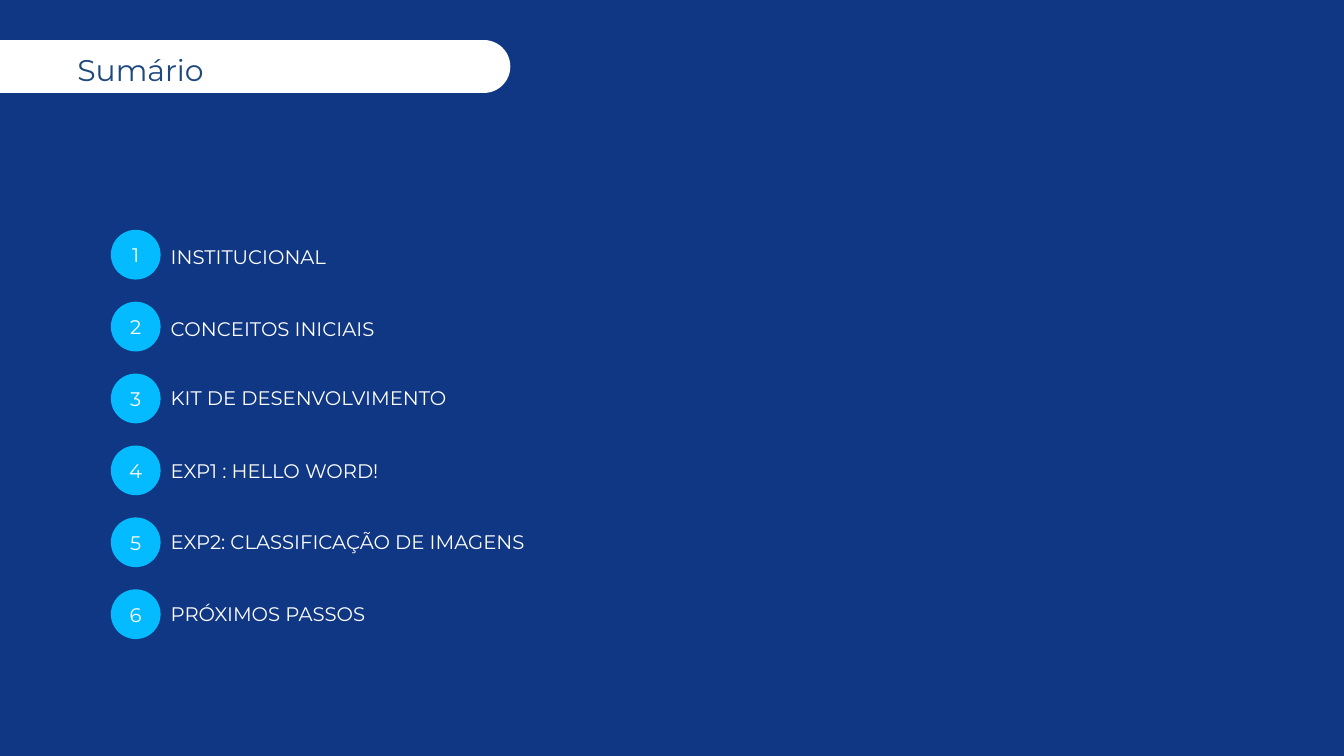
from dataclasses import dataclass

from pptx import Presentation
from pptx import util as u
from pptx.dml.color import RGBColor
from pptx.enum import shapes, text

PX = 9144  # EMU per px, 100 px to the inch
FONT = "Montserrat"
COLORS = {"background": "103784", "badge": "04BBFF", "white": "FFFFFF", "title": "1F497D"}
BADGE_LEFT, BADGE_TOP, BADGE_SIZE, ROW_PITCH = 165, 342, 74, 107
LABEL_LEFT, LABEL_HEIGHT = 254, 35


@dataclass
class Topic:
    label: str
    top: int
    width: int


TOPICS = [
    Topic("INSTITUCIONAL", 364, 378),
    Topic("CONCEITOS INICIAIS", 471, 370),
    Topic("KIT DE DESENVOLVIMENTO", 574, 439),
    Topic("EXP1 : HELLO WORD!", 683, 439),
    Topic("EXP2: CLASSIFICAÇÃO DE IMAGENS", 789, 531),
    Topic("PRÓXIMOS PASSOS", 896, 655),
]


def px(*lengths: int) -> list[u.Emu]:
    return [u.Emu(length * PX) for length in lengths]


def color(name: str) -> RGBColor:
    return RGBColor.from_string(COLORS[name])


def write(shape, words: str, size: int, ink: str, align, anchor, inset: int = 0) -> None:
    frame = shape.text_frame
    frame.word_wrap = True
    frame.auto_size = text.MSO_AUTO_SIZE.NONE
    frame.vertical_anchor = anchor
    frame.margin_left = frame.margin_top = frame.margin_right = frame.margin_bottom = u.Emu(inset * PX)
    para = frame.paragraphs[0]
    para.text = words
    para.alignment = align
    para.font.name = FONT
    para.font.size = u.Pt(size)
    para.font.color.rgb = color(ink)


def add_filled(page, kind, left: int, top: int, width: int, height: int, fill: str):
    shape = page.shapes.add_shape(kind, *px(left, top, width, height))
    shape.shadow.inherit = False
    shape.fill.solid()
    shape.fill.fore_color.rgb = color(fill)
    shape.line.fill.background()
    return shape


def add_heading(page, words: str) -> None:
    bar = add_filled(page, shapes.MSO_SHAPE.ROUNDED_RECTANGLE, -107, 61, 865, 76, "white")
    bar.adjustments[0] = 0.5
    bar.line.color.rgb = color("white")
    bar.line.width = u.Pt(2)
    title = page.shapes.title
    title.left, title.top, title.width, title.height = px(115, 66, 616, 65)
    write(title, words, 32, "title", text.PP_ALIGN.LEFT, text.MSO_ANCHOR.TOP)
    title.text_frame.paragraphs[0].line_spacing = 1.2
    bar.element.addnext(title.element)  # title in front of its bar


def add_topic(page, index: int, topic: Topic) -> None:
    badge = add_filled(page, shapes.MSO_SHAPE.OVAL, BADGE_LEFT, BADGE_TOP + index * ROW_PITCH,
                       BADGE_SIZE, BADGE_SIZE, "badge")
    write(badge, str(index + 1), 21, "white", text.PP_ALIGN.CENTER, text.MSO_ANCHOR.MIDDLE, 10)
    box = page.shapes.add_textbox(*px(LABEL_LEFT, topic.top, topic.width, LABEL_HEIGHT))
    write(box, topic.label, 21, "white", text.PP_ALIGN.LEFT, text.MSO_ANCHOR.TOP)


def main() -> None:
    deck = Presentation()
    deck.slide_width, deck.slide_height = px(2000, 1125)
    page = deck.slides.add_slide(deck.slide_layouts.get_by_name("Title Only"))
    page.background.fill.solid()
    page.background.fill.fore_color.rgb = color("background")

    # Heading, then the numbered topics
    add_heading(page, "Sumário")
    for index, topic in enumerate(TOPICS):
        add_topic(page, index, topic)

    deck.save("out.pptx")


if __name__ == "__main__":
    main()
